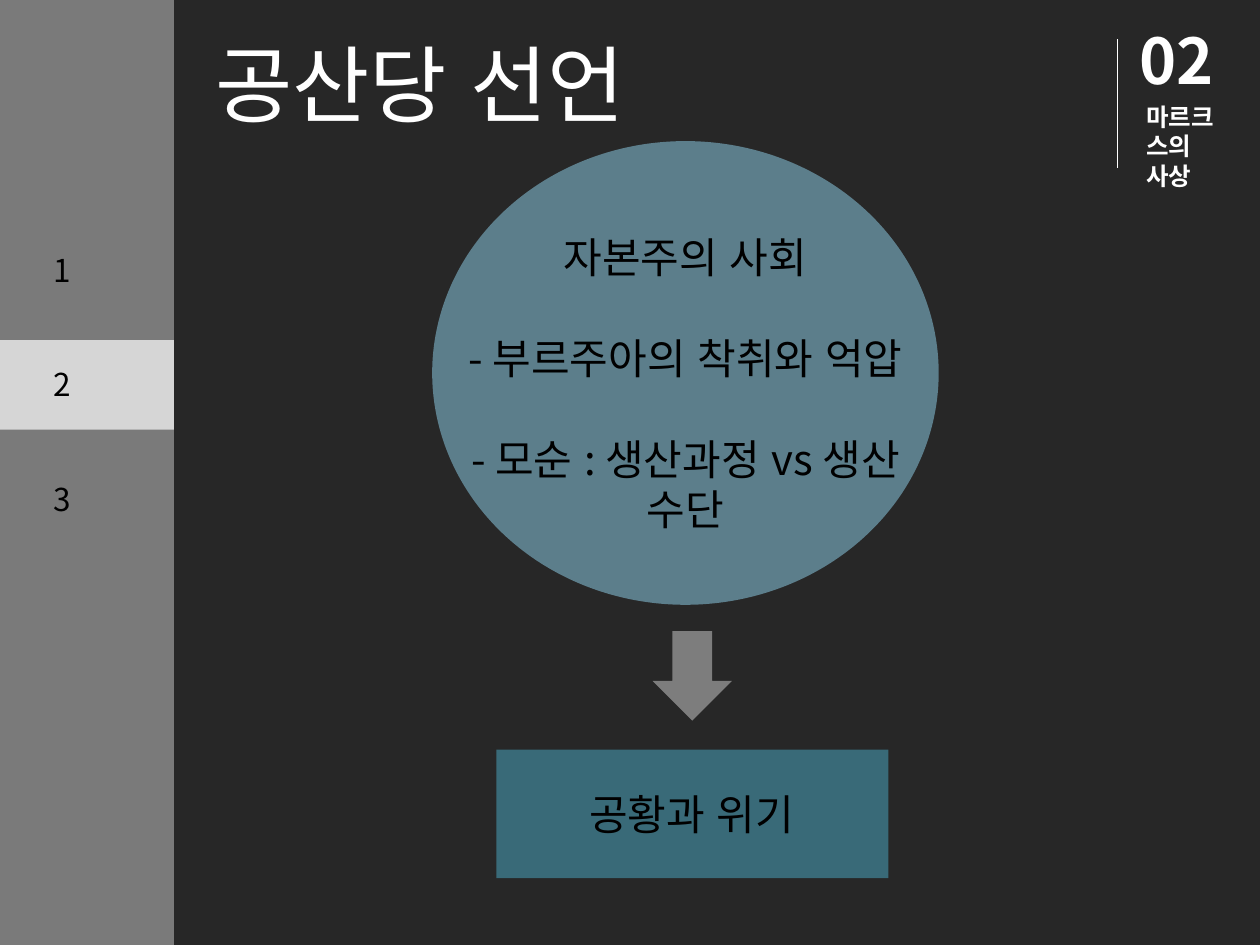
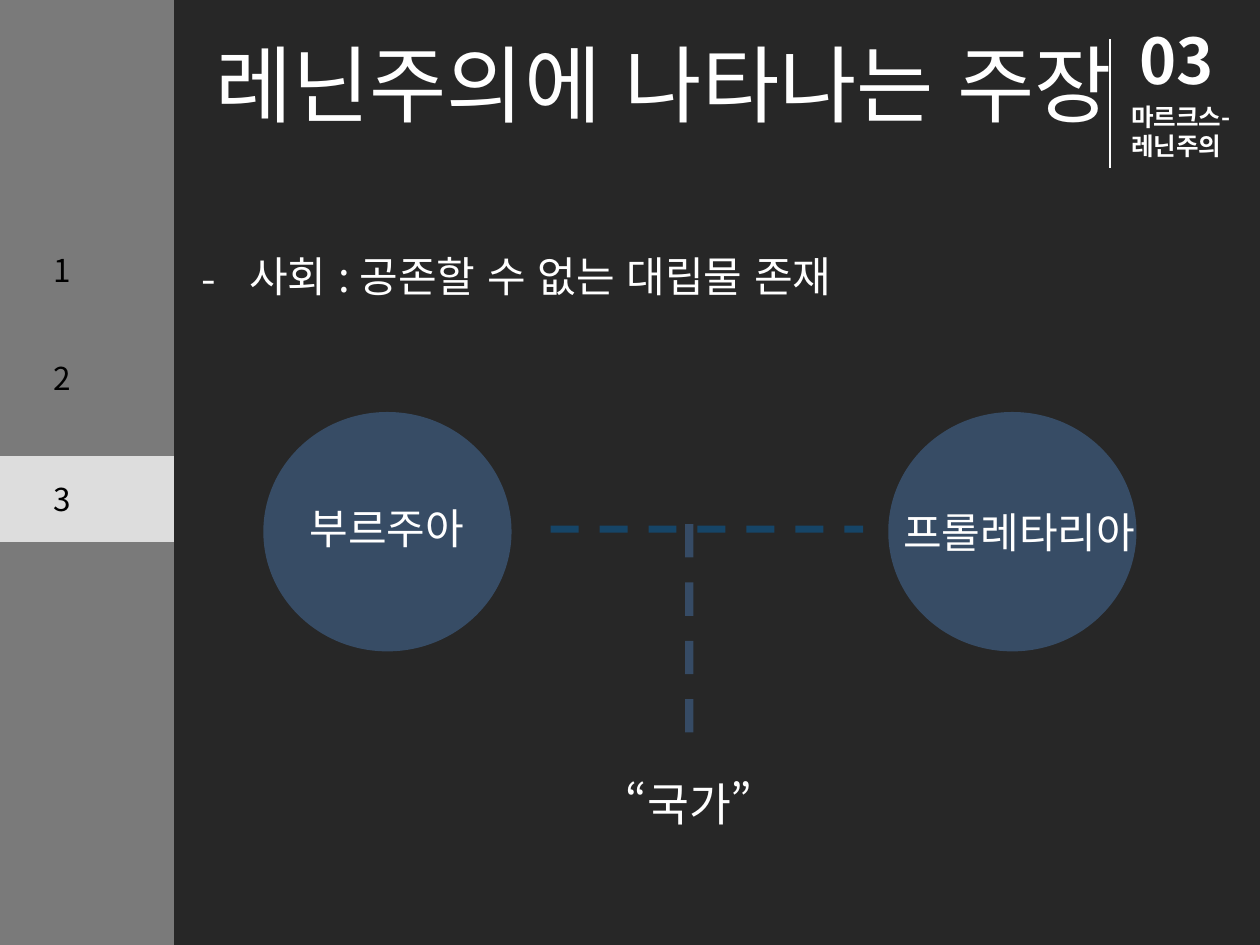
from lxml import etree
from pptx import Presentation
from pptx.dml.color import RGBColor
from pptx.enum.dml import MSO_LINE_DASH_STYLE as Dash
from pptx.enum.lang import MSO_LANGUAGE_ID as Language
from pptx.enum.shapes import MSO_CONNECTOR as Connector, MSO_SHAPE as Shape
from pptx.enum.text import MSO_AUTO_SIZE as AutoSize, PP_ALIGN as Align
from pptx.oxml.ns import qn
from pptx.util import Inches, Pt

# Shared style
FONT = "Noto Sans CJK KR"
BACKDROP = "0D0D0D"
WHITE = "FFFFFF"
BLACK = "000000"
BLUE = "4F81BD"
SIDEBAR_WIDTH = 1.38


def paint(color_format, color, opacity=100):
    """Set a hex colour, with an opacity in percent."""
    color_format.rgb = RGBColor.from_string(color)
    if opacity < 100:
        for node in color_format._xFill.iter(qn("a:srgbClr")):
            etree.SubElement(node, qn("a:alpha"), val=str(opacity * 1000))


def add_block(page, kind, left, top, width, height, color, opacity):
    block = page.shapes.add_shape(
        kind, Inches(left), Inches(top), Inches(width), Inches(height))
    block.shadow.inherit = False
    block.fill.solid()
    paint(block.fill.fore_color, color, opacity)
    block.line.fill.background()


def add_text(page, left, top, width, height, lines, size, color=WHITE,
             align=None, bold=False, gap=0):
    box = page.shapes.add_textbox(
        Inches(left), Inches(top), Inches(width), Inches(height))
    frame = box.text_frame
    frame.word_wrap = True
    frame.auto_size = AutoSize.SHAPE_TO_FIT_TEXT
    frame.text = "\n".join(lines)
    for index, para in enumerate(frame.paragraphs):
        para.alignment = align
        para.space_before = Pt(gap if index else 0)
        para.font.size = Pt(size)
        para.font.bold = bold
        para.font.name = FONT
        paint(para.font.color, color)
        for span in para.runs:
            span.font.language_id = Language.KOREAN
    return box


def add_dash_bullets(box, indent):
    for para in box.text_frame.paragraphs:
        properties = para._p.get_or_add_pPr()
        properties.set("marL", str(Inches(indent)))
        properties.set("indent", str(-Inches(indent)))
        run_style = properties.find(qn("a:defRPr"))
        run_style.addprevious(etree.Element(qn("a:buFont"), typeface=FONT))
        run_style.addprevious(etree.Element(qn("a:buChar"), char="-"))


def add_line(page, start, end, color, width, opacity=100, dash=None):
    line = page.shapes.add_connector(
        Connector.STRAIGHT, *(Inches(value) for value in (*start, *end)))
    line.line.fill.solid()
    paint(line.line.fill.fore_color, color, opacity)
    line.line.width = Pt(width)
    if dash:
        line.line.dash_style = dash
    etree.SubElement(line._element.spPr, qn("a:effectLst"))


def add_sidebar(page, band, number_tops):
    """Draw the highlighted band, the bar over it and the section numbers."""
    top, height, opacity = band
    add_block(page, Shape.RECTANGLE, 0, top, SIDEBAR_WIDTH, height,
              WHITE, opacity)
    add_block(page, Shape.RECTANGLE, 0, -0.11, SIDEBAR_WIDTH, 7.74, WHITE, 39)
    for number, number_top in enumerate(number_tops, 1):
        add_text(page, 0.33, number_top, 0.71, 0.4, [str(number)], 18, BLACK)


def add_chapter(page, number, name, left, width, rule_x):
    add_text(page, 8.83, 0.12, 1.14, 0.71, [f" {number}"], 36, bold=True)
    add_text(page, left, 0.76, width, 0.57, [name], 14,
             align=Align.LEFT, bold=True)
    add_line(page, (rule_x, 0.31), (rule_x, 1.33), WHITE, 0.75)


def start_page(deck, title, title_width, band, number_tops):
    page = deck.slides.add_slide(deck.slide_layouts[6])
    add_block(page, Shape.RECTANGLE, 0, 0, 10, 7.56, BACKDROP, 89)
    add_sidebar(page, band, number_tops)
    add_text(page, 1.61, 0.21, title_width, 0.91, [title], 48)
    return page


def build_manifesto(deck):
    page = start_page(deck, "공산당 선언", 8.39,
                      (2.7, 0.71, 69), (1.94, 2.85, 3.76))

    # Capitalist society
    add_block(page, Shape.OVAL, 3.43, 1.12, 4.02, 3.68, "6A94A4", 80)
    society = ["자본주의 사회", "- 부르주아의 착취와 억압",
               "- 모순 : 생산과정 vs 생산 수단"]
    add_text(page, 3.59, 1.79, 3.7, 2.52, society, 24, BLACK,
             Align.CENTER, gap=28.8)

    # Outcome
    add_block(page, Shape.DOWN_ARROW, 5.18, 5.01, 0.63, 0.71, WHITE, 40)
    add_block(page, Shape.RECTANGLE, 3.94, 5.95, 3.11, 1.02, "4BACC6", 51)
    add_text(page, 4.11, 6.21, 2.76, 0.5, ["공황과 위기"], 24, BLACK,
             Align.CENTER)

    add_chapter(page, "02", "마르크스의 사상", 9, 0.88, 8.87)


def build_leninism(deck):
    page = start_page(deck, "레닌주의에 나타나는 주장", 8.66,
                      (3.62, 0.68, 75), (1.94, 2.8, 3.76))
    claim = add_text(page, 1.5, 1.94, 8.62, 1.31,
                     ["사회 : 공존할 수 없는 대립물 존재"], 24)
    add_dash_bullets(claim, 0.38)

    # Opposed classes
    for circle_left in (2.09, 7.05):
        add_block(page, Shape.OVAL, circle_left, 3.27, 1.97, 1.9, BLUE, 42)
    add_text(page, 2.29, 3.94, 1.56, 0.5, ["부르주아"], 24,
             align=Align.CENTER)
    add_text(page, 7.07, 3.97, 2.14, 0.5, ["프롤레타리아"], 24)

    # The state between them
    add_line(page, (4.37, 4.2), (6.85, 4.2), "0070C0", 4, 42, Dash.DASH)
    add_line(page, (5.47, 4.16), (5.47, 5.84), "4B7EBC", 4.75, 42, Dash.DASH)
    add_text(page, 3.7, 6.11, 3.54, 0.54, ["“국가”"], 26, align=Align.CENTER)

    add_chapter(page, "03", "마르크스-레닌주의", 8.88, 1.06, 8.81)


def main():
    deck = Presentation()
    deck.slide_width, deck.slide_height = Inches(10), Inches(7.5)
    build_manifesto(deck)
    build_leninism(deck)
    deck.save("out.pptx")


if __name__ == "__main__":
    main()
